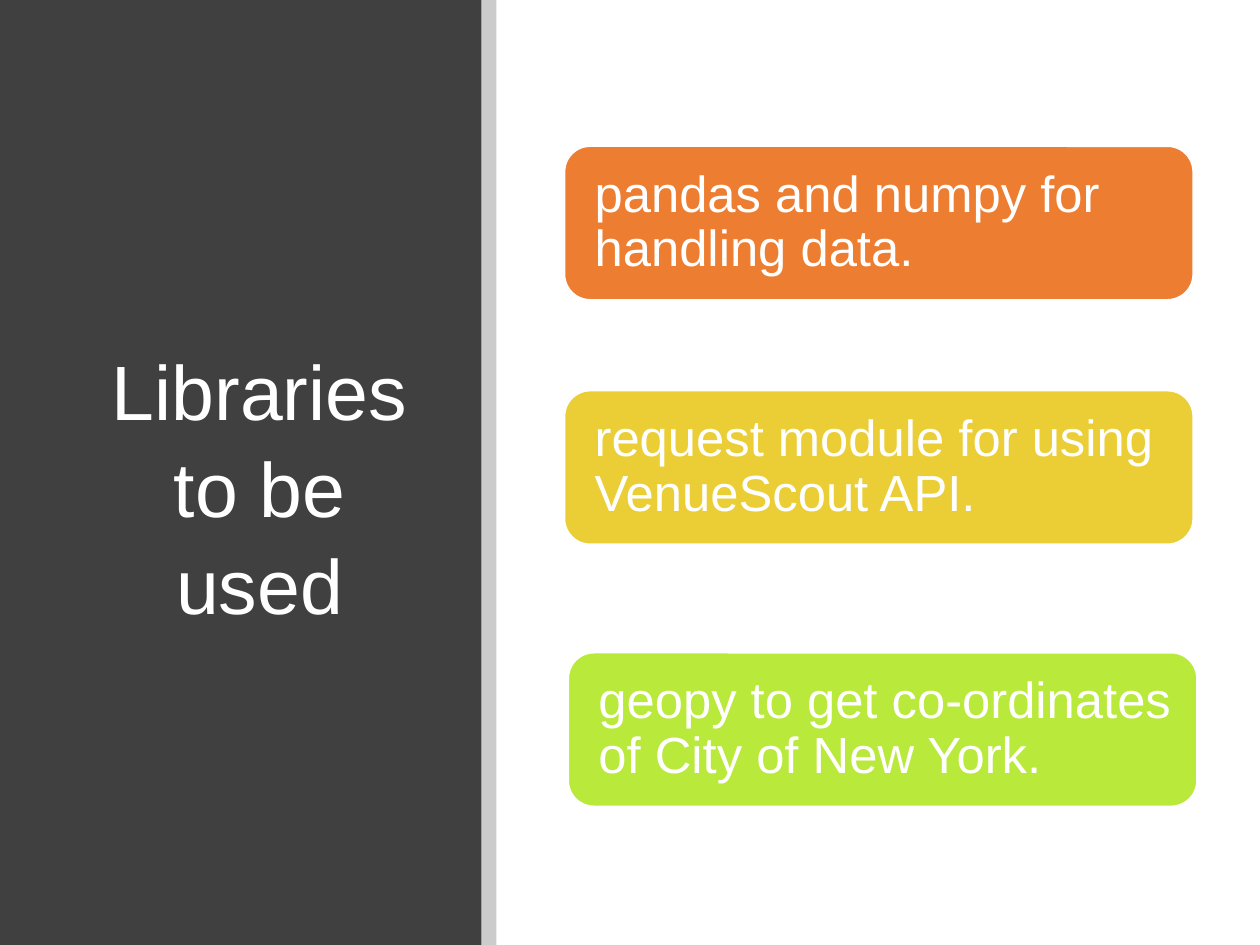
from lxml import etree
from pptx import Presentation
from pptx.dml.color import RGBColor
from pptx.enum.shapes import MSO_SHAPE
from pptx.enum.text import MSO_ANCHOR, PP_ALIGN
from pptx.oxml.ns import qn
from pptx.util import Inches, Pt

RECT, ROUND = MSO_SHAPE.RECTANGLE, MSO_SHAPE.ROUNDED_RECTANGLE
MIDDLE = MSO_ANCHOR.MIDDLE
LEFT, CENTER = PP_ALIGN.LEFT, PP_ALIGN.CENTER
WHITE = RGBColor(0xFF, 0xFF, 0xFF)
BLACK = RGBColor(0, 0, 0)
DARK = RGBColor(0x40, 0x40, 0x40)
ORANGE = RGBColor(0xED, 0x7D, 0x31)
YELLOW = RGBColor(0xEB, 0xCE, 0x35)
LIME = RGBColor(0xB9, 0xE9, 0x3A)
WIDE, HIGH = 10, 7.5
CARDS = [
    ("pandas and numpy for handling data.", ORANGE, 0, 0),
    ("request module for using VenueScout API.", YELLOW, 0, 1.94),
    ("geopy to get co-ordinates of City of New York.", LIME, 0.03, 4.02),
]


def write(shape, text, size, align=LEFT, pads=(0.1, 0.05, 0.1, 0.05), space=1.0, after=0):
    """Put one formatted paragraph into a shape."""
    frame = shape.text_frame
    frame.word_wrap = True
    frame.vertical_anchor = MIDDLE
    (frame.margin_left, frame.margin_top,
     frame.margin_right, frame.margin_bottom) = map(Inches, pads)
    para = frame.paragraphs[0]
    para.alignment, para.line_spacing, para.space_after = align, space, Pt(after)
    run = para.add_run()
    run.text = text
    run.font.name, run.font.size = "Arial", Pt(size)
    run.font.color.rgb = WHITE


def block(slide, kind, box, fill, line=None):
    """Draw a filled shape without shadow."""
    shape = slide.shapes.add_shape(kind, *map(Inches, box))
    shape.shadow.inherit = False
    shape.fill.solid()
    shape.fill.fore_color.rgb = fill
    if line is None:
        shape.line.fill.background()
    else:
        shape.line.color.rgb, shape.line.width = line, Pt(1)
    return shape


def panel(slide, box, strip=0.12):
    """Draw the dark title panel with a sheer strip along its right edge."""
    left, top, width, height = box
    body = width - strip
    block(slide, RECT, (left, top, body, height), DARK)
    title = slide.shapes.add_textbox(
        *map(Inches, (left + 0.69, top + 0.89, 2.74, 5.91)))
    write(title, "Libraries to be used", 44, align=CENTER, space=1.05)
    edge = block(slide, RECT, (left + body, top, strip, height), BLACK)
    color = edge.fill._xPr.find(qn("a:solidFill"))[0]
    etree.SubElement(color, qn("a:alpha"), val="20000")


def cards(slide, box, height=1.22):
    """Draw the library cards down the given box."""
    left, top, width, _ = box
    for text, fill, shift, drop in CARDS:
        card = block(slide, ROUND, (left + shift, top + drop, width, height), fill, WHITE)
        card.adjustments[0] = 0.167
        write(card, text, 29, pads=(0.18, 0.18, 0.12, 0.18), space=0.9, after=10.2)


def main():
    """Build and save the slide."""
    deck = Presentation()
    deck.slide_width, deck.slide_height = Inches(WIDE), Inches(HIGH)
    slide = deck.slides.add_slide(deck.slide_layouts[6])
    panel(slide, (0, 0, 3.94, HIGH))
    cards(slide, (4.48, 1.16, 4.99, 5.24))
    deck.save("out.pptx")


main()
